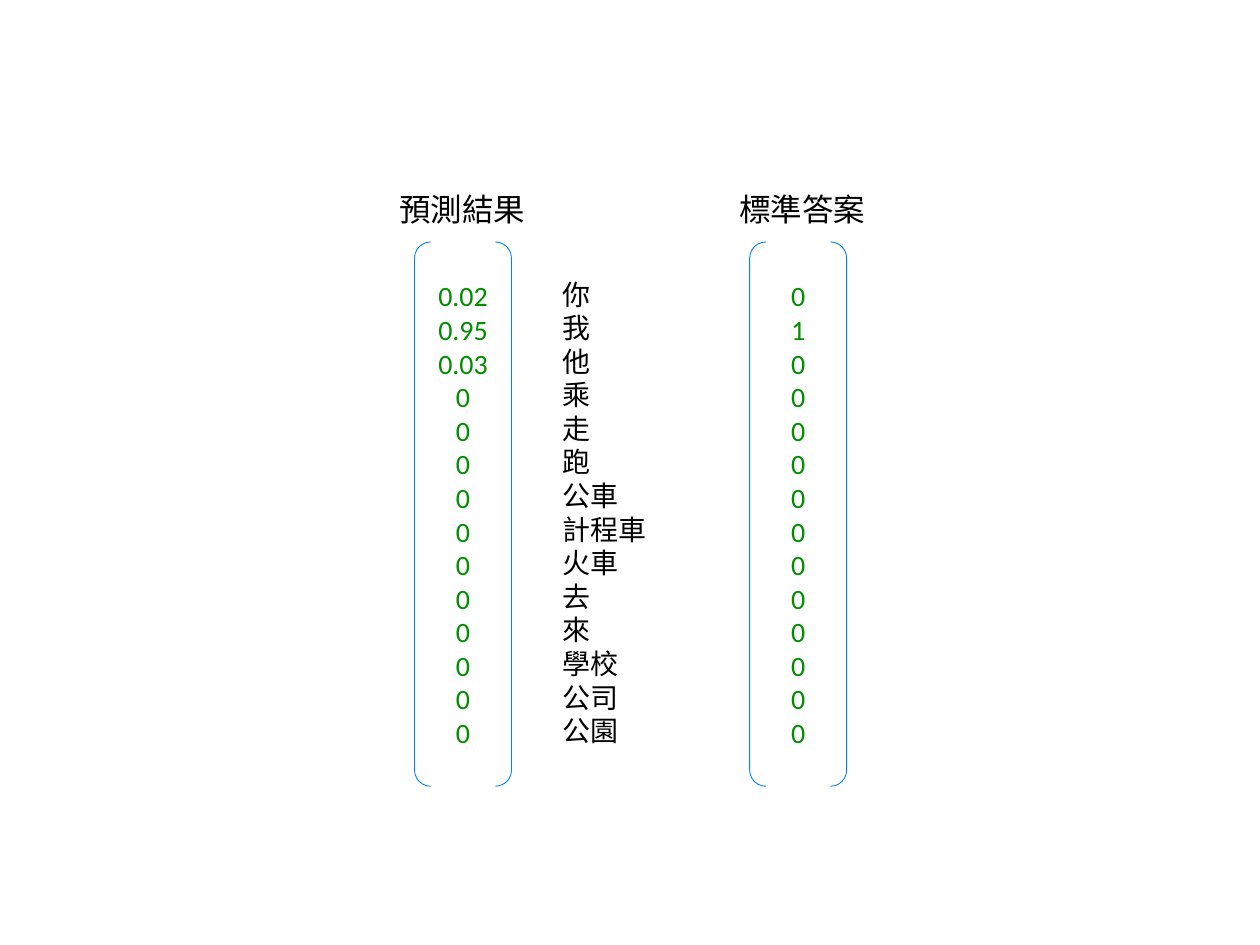
from lxml import etree
from pptx import Presentation
from pptx.dml.color import RGBColor
from pptx.enum.shapes import MSO_SHAPE
from pptx.enum.text import MSO_ANCHOR, PP_ALIGN
from pptx.oxml.ns import qn
from pptx.util import Inches, Pt

BRACKETS = MSO_SHAPE.DOUBLE_BRACKET
RECTANGLE = MSO_SHAPE.RECTANGLE
TOP, MIDDLE = MSO_ANCHOR.TOP, MSO_ANCHOR.MIDDLE
LEFT, CENTER = PP_ALIGN.LEFT, PP_ALIGN.CENTER


def color(hex_value):
    return RGBColor.from_string(hex_value)


def write_lines(shape, lines, font, size, text_color, align, anchor):
    text_frame = shape.text_frame
    text_frame.text = "\n".join(lines)
    text_frame.vertical_anchor = anchor
    for paragraph in text_frame.paragraphs:
        paragraph.alignment = align
        for run in paragraph.runs:
            run.font.name = font
            run.font.size = Pt(size)
            run.font.color.rgb = color(text_color)
            # Chinese characters take the East Asian font
            east_asian = etree.SubElement(run._r.get_or_add_rPr(), qn("a:ea"))
            east_asian.set("typeface", font)


presentation = Presentation()
presentation.slide_width = Inches(10)
presentation.slide_height = Inches(7.5)
slide = presentation.slides.add_slide(presentation.slide_layouts[6])

# Vocabulary with its predicted and true probabilities
words = ["你", "我", "他", "乘", "走", "跑", "公車", "計程車", "火車",
         "去", "來", "學校", "公司", "公園"]
prediction = ["0.02", "0.95", "0.03"] + ["0"] * 11
answer = ["0", "1"] + ["0"] * 12

# Word list
word_list = slide.shapes.add_shape(
    RECTANGLE, Inches(4.37), Inches(2.15), Inches(1.57), Inches(3.87))
word_list.shadow.inherit = False
word_list.fill.solid()
word_list.fill.fore_color.rgb = color("FFFFFF")
word_list.line.fill.background()
write_lines(word_list, words, "Calibri", 16, "000000", LEFT, TOP)

# Bracketed vectors with their headings
columns = [("預測結果", 3.07, prediction, 3.29),
           ("標準答案", 5.77, answer, 5.95)]
for title, title_left, values, vector_left in columns:
    vector = slide.shapes.add_shape(
        BRACKETS, Inches(vector_left), Inches(1.92), Inches(0.77), Inches(4.32))
    vector.shadow.inherit = False
    vector.fill.solid()
    vector.fill.fore_color.rgb = color("FFFFFF")
    vector.line.color.rgb = color("0080FF")
    vector.line.width = Pt(0.5)
    write_lines(vector, values, "Calibri", 16, "008E00", CENTER, MIDDLE)

    heading = slide.shapes.add_textbox(
        Inches(title_left), Inches(1.46), Inches(1.21), Inches(0.4))
    heading.text_frame.word_wrap = False
    write_lines(heading, [title], "Noto Sans CJK TC", 18, "000000", LEFT, MIDDLE)

presentation.save("out.pptx")
